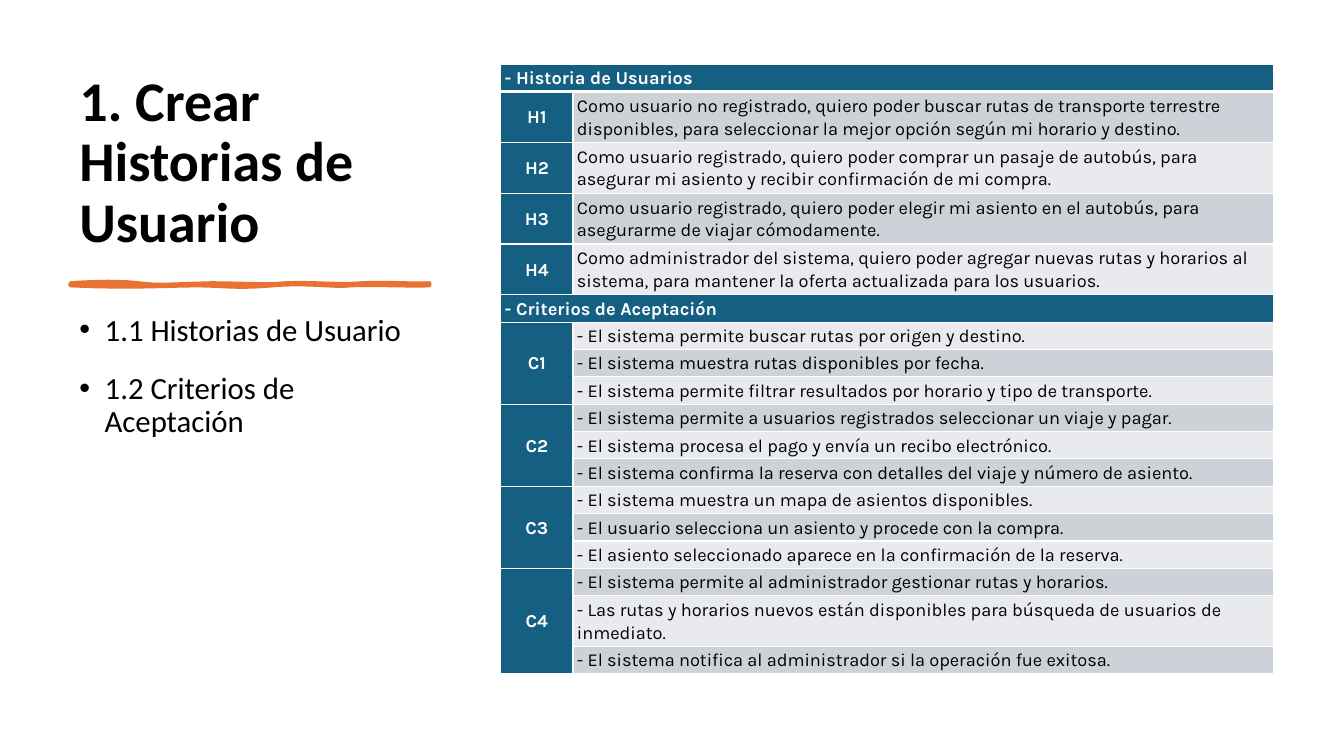
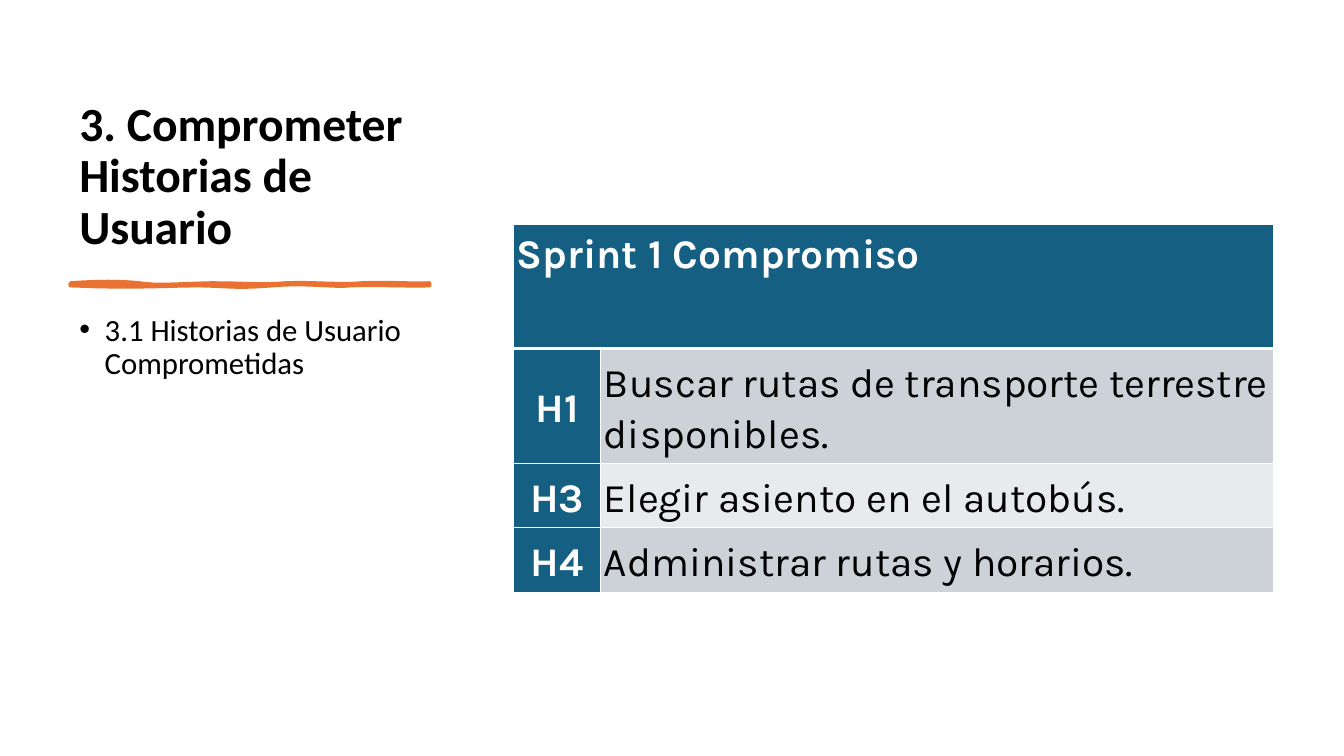
from dataclasses import dataclass
from typing import Any

from lxml import etree
from pptx import Presentation
from pptx import util as u
from pptx.dml.color import RGBColor
from pptx.enum import text as t
from pptx.oxml import ns

COLORS = {
    "black": "000000",
    "white": "FFFFFF",
    "blue": "156082",
    "odd_row": "CCD2D8",
    "even_row": "E8EAED",
    "orange": "E97132",
}
TITLE_FONT = "Calibri"
TABLE_FONT = "Karla"
PANEL_LEFT, PANEL_WIDTH = 1.75, 9.53
CURVE_STEPS = 8

# Brush stroke under the title, in cm: a start, then cubic curves
STROKE_START = (1.78, 7.14)
STROKE_CURVES = [
    ((2.46, 7.09), (3.07, 7.09), (3.51, 7.14)),
    ((3.94, 7.21), (4.5, 7.16), (5.31, 7.14)),
    ((6.12, 7.14), (6.6, 7.19), (7.21, 7.14)),
    ((7.82, 7.11), (8.61, 7.19), (9.12, 7.14)),
    ((9.63, 7.11), (10.46, 7.16), (10.82, 7.14)),
    ((10.82, 7.16), (10.82, 7.19), (10.82, 7.19)),
    ((10.36, 7.21), (9.25, 7.16), (8.84, 7.19)),
    ((8.43, 7.24), (7.72, 7.11), (6.86, 7.19)),
    ((5.97, 7.26), (5.87, 7.21), (5.05, 7.19)),
    ((4.22, 7.19), (3.35, 7.26), (1.78, 7.19)),
]


@dataclass
class Group:
    """A label beside its lines; without lines, a heading across the table."""
    label: str
    lines: tuple[str, ...] = ()


@dataclass
class TableStyle:
    left: float
    top: float
    columns: tuple[float, float]
    heading_height: float
    line_height: float
    double_height: float
    line_chars: int
    size: int
    margin_x: float
    margin_top: float
    heading_anchor: Any = t.MSO_ANCHOR.MIDDLE


@dataclass
class Section:
    title: str
    title_size: int
    space_after: int
    bullets: list[str]
    groups: list[Group]
    style: TableStyle


SECTIONS = [
    Section(
        "1. Crear Historias de Usuario", 40, 8,
        ["1.1 Historias de Usuario", "1.2 Criterios de Aceptación"],
        [
            Group("- Historia de Usuarios"),
            Group("H1", ("Como usuario no registrado, quiero poder buscar rutas de transporte terrestre "
                         "disponibles, para seleccionar la mejor opción según mi horario y destino.",)),
            Group("H2", ("Como usuario registrado, quiero poder comprar un pasaje de autobús, para "
                         "asegurar mi asiento y recibir confirmación de mi compra.",)),
            Group("H3", ("Como usuario registrado, quiero poder elegir mi asiento en el autobús, para "
                         "asegurarme de viajar cómodamente.",)),
            Group("H4", ("Como administrador del sistema, quiero poder agregar nuevas rutas y horarios al "
                         "sistema, para mantener la oferta actualizada para los usuarios.",)),
            Group("- Criterios de Aceptación"),
            Group("C1", ("- El sistema permite buscar rutas por origen y destino.",
                         "- El sistema muestra rutas disponibles por fecha.",
                         "- El sistema permite filtrar resultados por horario y tipo de transporte.")),
            Group("C2", ("- El sistema permite a usuarios registrados seleccionar un viaje y pagar.",
                         "- El sistema procesa el pago y envía un recibo electrónico.",
                         "- El sistema confirma la reserva con detalles del viaje y número de asiento.")),
            Group("C3", ("- El sistema muestra un mapa de asientos disponibles.",
                         "- El usuario selecciona un asiento y procede con la compra.",
                         "- El asiento seleccionado aparece en la confirmación de la reserva.")),
            Group("C4", ("- El sistema permite al administrador gestionar rutas y horarios.",
                         "- Las rutas y horarios nuevos están disponibles para búsqueda de usuarios de inmediato.",
                         "- El sistema notifica al administrador si la operación fue exitosa.")),
        ],
        TableStyle(12.62, 1.62, (1.82, 17.65), 0.69, 0.69, 1.28, 80, 13, 0.1, 0),
    ),
    Section(
        "3. Comprometer Historias de Usuario", 34, 0,
        ["3.1 Historias de Usuario Comprometidas"],
        [
            Group("Sprint 1 Compromiso"),
            Group("H1", ("Buscar rutas de transporte terrestre disponibles.",)),
            Group("H3", ("Elegir asiento en el autobús.",)),
            Group("H4", ("Administrar rutas y horarios.",)),
        ],
        TableStyle(12.94, 5.66, (2.2, 16.95), 3.12, 1.62, 2.9, 40, 29, 0.08, 0.08,
                   t.MSO_ANCHOR.TOP),
    ),
]


def rgb(name: str) -> RGBColor:
    return RGBColor.from_string(COLORS[name])


def write(paragraph: Any, content: str, *, size: int, font: str = TITLE_FONT,
          color: str = "black", bold: bool = False, align: Any = t.PP_ALIGN.LEFT,
          spacing: float = 0.9, before: int = 0, after: int = 0) -> None:
    paragraph.alignment = align
    paragraph.line_spacing = spacing
    paragraph.space_before = u.Pt(before)
    paragraph.space_after = u.Pt(after)
    run = paragraph.add_run()
    run.text = content
    run.font.name = font
    run.font.size = u.Pt(size)
    run.font.bold = bold
    run.font.color.rgb = rgb(color)


def add_panel(slide: Any, top: float, height: float, anchor: Any) -> Any:
    """Add a text box in the left column and return its text frame."""
    box = slide.shapes.add_textbox(u.Cm(PANEL_LEFT), u.Cm(top), u.Cm(PANEL_WIDTH), u.Cm(height))
    frame = box.text_frame
    frame.word_wrap = True
    frame.vertical_anchor = anchor
    return frame


def add_bullet(paragraph: Any) -> None:
    properties = paragraph._p.get_or_add_pPr()
    indent = u.Cm(0.64)
    properties.set("marL", str(indent))
    properties.set("indent", str(-indent))
    etree.SubElement(properties, ns.qn("a:buFont"), typeface="Arial")
    etree.SubElement(properties, ns.qn("a:buChar"), char="•")


def add_brush_stroke(slide: Any) -> None:
    points = []
    start = STROKE_START
    for first, second, end in STROKE_CURVES:
        for step in range(1, CURVE_STEPS + 1):
            f = step / CURVE_STEPS
            g = 1 - f
            points.append(tuple(
                u.Cm(g ** 3 * a + 3 * g * g * f * b + 3 * g * f * f * c + f ** 3 * d)
                for a, b, c, d in zip(start, first, second, end)))
        start = end
    builder = slide.shapes.build_freeform(*map(u.Cm, STROKE_START))
    builder.add_line_segments(points, close=True)
    shape = builder.convert_to_shape()
    shape.shadow.inherit = False
    shape.fill.solid()
    shape.fill.fore_color.rgb = rgb("orange")
    shape.line.color.rgb = rgb("orange")
    shape.line.width = u.Pt(3)
    etree.SubElement(shape.line._get_or_add_ln(), ns.qn("a:round"))


def set_borders(cell: Any, top: int, bottom: int) -> None:
    properties = cell._tc.get_or_add_tcPr()
    for side, width in (("L", 1), ("R", 1), ("T", top), ("B", bottom)):
        line = etree.SubElement(properties, ns.qn(f"a:ln{side}"), w=str(u.Pt(width)))
        fill = etree.SubElement(line, ns.qn("a:solidFill"))
        etree.SubElement(fill, ns.qn("a:srgbClr"), val=COLORS["white"])


def format_cell(cell: Any, row: int, fill: str, style: TableStyle) -> None:
    set_borders(cell, 3 if row == 1 else 1, 3 if row == 0 else 1)
    cell.fill.solid()
    cell.fill.fore_color.rgb = rgb(fill)
    cell.margin_left = cell.margin_right = u.Cm(style.margin_x)
    cell.margin_top = u.Cm(style.margin_top)
    cell.margin_bottom = 0
    cell.vertical_anchor = t.MSO_ANCHOR.MIDDLE


def fill_cell(cell: Any, content: str, style: TableStyle, **formats: Any) -> None:
    write(cell.text_frame.paragraphs[0], content, size=style.size, font=TABLE_FONT,
          spacing=1.07, **formats)


def shrink_covered_cell(cell: Any) -> None:
    """Keep a cell hidden by a merge from stretching its row."""
    paragraph = cell.text_frame.paragraphs[0]._p
    etree.SubElement(paragraph, ns.qn("a:endParaRPr"), sz="800")


def add_story_table(slide: Any, groups: list[Group], style: TableStyle) -> None:
    heights = []
    for group in groups:
        if not group.lines:
            heights.append(style.heading_height)
        heights += [style.double_height if len(line) > style.line_chars else style.line_height
                    for line in group.lines]
    table = slide.shapes.add_table(
        len(heights), 2, u.Cm(style.left), u.Cm(style.top),
        u.Cm(sum(style.columns)), u.Cm(sum(heights))).table
    for column, width in zip(table.columns, style.columns):
        column.width = u.Cm(width)
    for row, height in zip(table.rows, heights):
        row.height = u.Cm(height)

    index = 0
    for group in groups:
        span = max(1, len(group.lines))
        label = table.cell(index, 0)
        for row in range(index, index + span):
            band = "odd_row" if row % 2 else "even_row"
            format_cell(table.cell(row, 0), row, "blue", style)
            format_cell(table.cell(row, 1), row, band if group.lines else "blue", style)
            if row > index:
                shrink_covered_cell(table.cell(row, 0))
        for offset, line in enumerate(group.lines):
            fill_cell(table.cell(index + offset, 1), line, style)
        if group.lines:
            align = t.PP_ALIGN.CENTER
            if span > 1:
                label.merge(table.cell(index + span - 1, 0))
        else:
            align = t.PP_ALIGN.LEFT
            shrink_covered_cell(table.cell(index, 1))
            label.merge(table.cell(index, 1))
            label.vertical_anchor = style.heading_anchor
        fill_cell(label, group.label, style, color="white", bold=True, align=align)
        index += span


def add_section_slide(presentation: Any, section: Section) -> None:
    slide = presentation.slides.add_slide(presentation.slide_layouts[6])
    title = add_panel(slide, 1.77, 4.77, t.MSO_ANCHOR.BOTTOM)
    write(title.paragraphs[0], section.title, size=section.title_size, bold=True,
          after=section.space_after)
    add_brush_stroke(slide)
    body = add_panel(slide, 7.8, 9.47, t.MSO_ANCHOR.TOP)
    for index, bullet in enumerate(section.bullets):
        paragraph = body.add_paragraph() if index else body.paragraphs[0]
        write(paragraph, bullet, size=22, before=10, after=section.space_after)
        add_bullet(paragraph)
    add_story_table(slide, section.groups, section.style)


def main() -> None:
    presentation = Presentation()
    presentation.slide_width = u.Cm(33.87)
    presentation.slide_height = u.Cm(19.05)
    for section in SECTIONS:
        add_section_slide(presentation, section)
    presentation.save("out.pptx")


if __name__ == "__main__":
    main()
